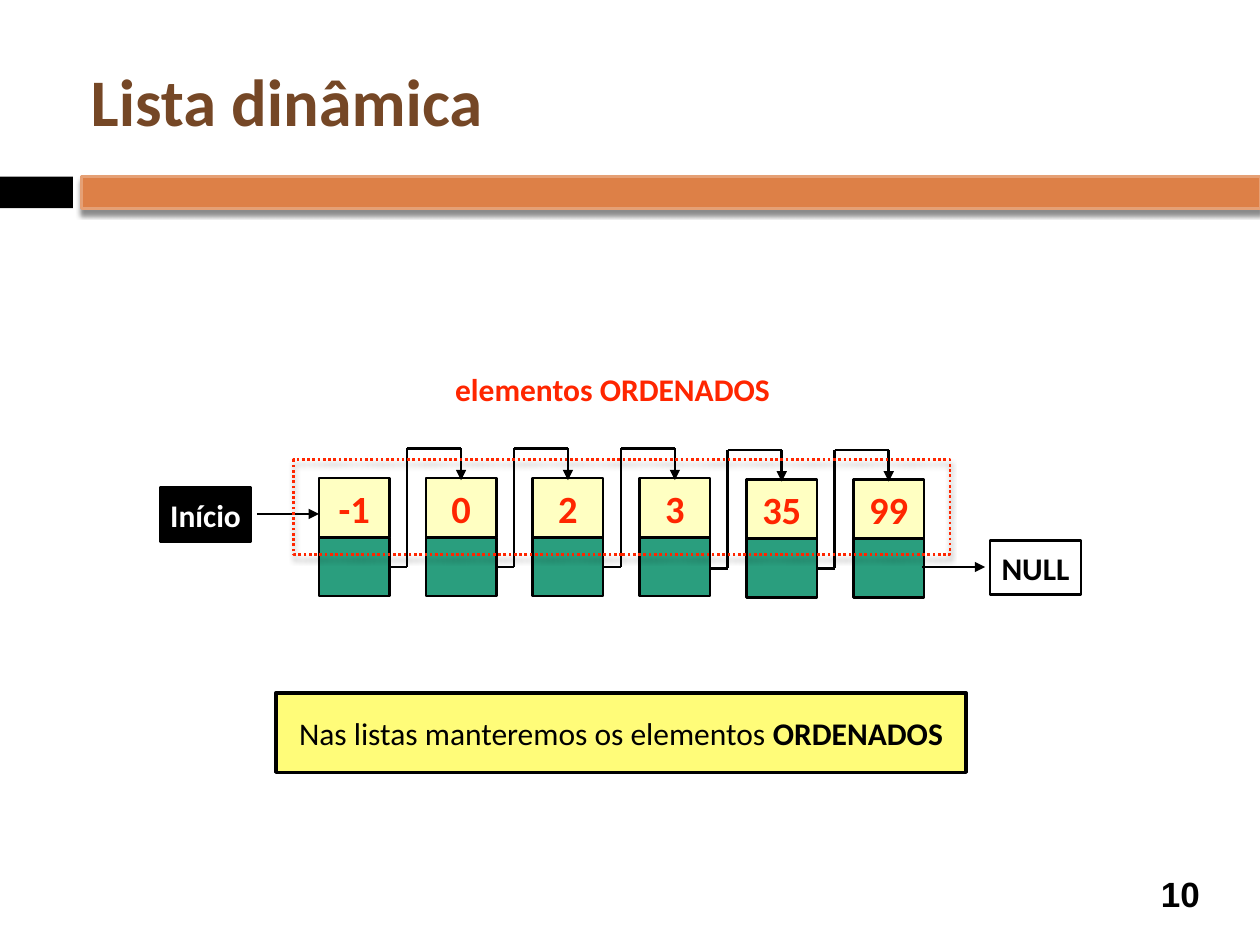
import itertools
import lxml.etree
import pptx
import pptx.dml.color
import pptx.enum.dml
import pptx.enum.shapes
import pptx.enum.text
import pptx.oxml
import pptx.oxml.ns
import pptx.util

Cm, Pt = pptx.util.Cm, pptx.util.Pt
ALIGN = pptx.enum.text.PP_ALIGN
MID = pptx.enum.text.MSO_ANCHOR.MIDDLE
RECT = pptx.enum.shapes.MSO_SHAPE.RECTANGLE
DOTS = pptx.enum.dml.MSO_LINE.ROUND_DOT

# Content
TITLE = "Lista dinâmica"
HEAD, END = "Início", "NULL"
ITEMS = ["-1", "0", "2", "3", "35", "99"]
LABEL = "elementos ORDENADOS"
NOTE = [("Nas listas manteremos os elementos ", False), ("ORDENADOS", True)]
PAGE = "10"

# Colours and type
THEME = {
    "black": "000000", "white": "FFFFFF", "brown": "754726",
    "bar": "DD8047", "edge": "E5A075", "red": "FF2600",
    "cream": "FFFFC2", "green": "2A9E7E", "yellow": "FFFC79",
    "title": {"name": "Calibri", "size": Pt(38), "bold": True},
    "item": {"name": "Calibri", "size": Pt(22), "bold": True},
    "label": {"name": "Calibri", "size": Pt(18), "bold": True},
    "page": {"name": "Arial", "size": Pt(20), "bold": True},
}
SHADE = (
    '<a:effectLst %s><a:outerShdw blurRad="38100" dist="30480" dir="5400000" '
    'algn="t" rotWithShape="0"><a:srgbClr val="000000"><a:alpha val="45000"/>'
    "</a:srgbClr></a:outerShdw></a:effectLst>" % pptx.oxml.ns.nsdecls("a")
)

# Grid of nodes, in centimetres
LEFT, TOP, STEP = 6.43, 9.64, 2.155
WIDE, HIGH = 1.42, 1.19
DROP = 0.03  # the last two nodes sit slightly lower

deck = pptx.Presentation()
deck.slide_width, deck.slide_height = Cm(25.4), Cm(19.05)
slide = deck.slides.add_slide(deck.slide_layouts[6])


def tint(name):
    return pptx.dml.color.RGBColor.from_string(THEME[name])


def write(shape, runs, style, color, align=ALIGN.CENTER, wrap=True):
    frame = shape.text_frame
    form = {"word_wrap": wrap, "vertical_anchor": MID}
    form.update({"margin_" + side: Cm(0.13)
                 for side in ("left", "right", "top", "bottom")})
    for key, value in form.items():
        setattr(frame, key, value)
    para = frame.paragraphs[0]
    para.alignment = align
    for text, bold in runs:
        run = para.add_run()
        run.text = text
        for key, value in {**THEME[style], "bold": bold}.items():
            setattr(run.font, key, value)
        run.font.color.rgb = tint(color)


def box(area, fill=None, line=None, width=1.5, dash=None, shade=False):
    shape = slide.shapes.add_shape(RECT, *map(Cm, area))
    shape.shadow.inherit = False
    if fill:
        shape.fill.solid()
        shape.fill.fore_color.rgb = tint(fill)
    else:
        shape.fill.background()
    if line:
        shape.line.color.rgb = tint(line)
        for key, value in {"width": Pt(width), "dash_style": dash}.items():
            setattr(shape.line, key, value)
    else:
        shape.line.fill.background()
    if shade:
        prop = shape.element.spPr
        prop.replace(prop.find(pptx.oxml.ns.qn("a:effectLst")),
                     pptx.oxml.parse_xml(SHADE))
    return shape


def label(area, text, style, color, **form):
    shape = slide.shapes.add_textbox(*map(Cm, area))
    write(shape, [(text, True)], style, color, **form)


def route(*dots):
    """Join the points with lines; the last one ends in an arrowhead."""
    for start, stop in itertools.pairwise(dots):
        wire = slide.shapes.add_connector(
            pptx.enum.shapes.MSO_CONNECTOR.STRAIGHT, *map(Cm, start + stop))
        wire.line.color.rgb = tint("black")
        wire.line.width = Pt(1.5)
        lxml.etree.SubElement(wire.element.spPr, pptx.oxml.ns.qn("a:effectLst"))
    lxml.etree.SubElement(wire.line._get_or_add_ln(),
                          pptx.oxml.ns.qn("a:tailEnd"), type="triangle")


# Title band and page number
box((0, 3.56, 1.47, 0.64), "black")
box((1.65, 3.56, 23.75, 0.64), "bar", "edge", shade=True)
label((1.7, 0.64, 22.66, 2.74), TITLE, "title", "brown", align=ALIGN.LEFT)
label((23.06, 17.5, 1.47, 1.04), PAGE, "page", "black")

# Nodes and the links between them
for i, item in enumerate(ITEMS):
    x = LEFT + i * STEP
    y = TOP + (DROP if i > 3 else 0)
    box((x, y + HIGH, WIDE, HIGH), "green", "black")
    cell = box((x, y, WIDE, HIGH), "cream", "black")
    write(cell, [(item, True)], "item", "red")
    if i:
        turn, mid = x - 0.38, x + WIDE / 2
        route((x - STEP + WIDE, y + 1.79), (turn, y + 1.79),
              (turn, y - 0.6), (mid, y - 0.6), (mid, y + 0.04))

# Start and end of the list
for text, fill, color, x, y in [(HEAD, "black", "white", 3.23, 9.83),
                                (END, "white", "black", 19.96, 10.9)]:
    write(box((x, y, 1.83, 1.09), fill, "black"),
          [(text, True)], "label", color)
route((5.18, 10.36), (LEFT, 10.36))
route((18.59, 11.43), (19.86, 11.43))

# Ordered items frame and its label
box((5.92, 9.27, 13.23, 1.91), line="red", dash=DOTS, shade=True)
label((8.97, 7.39, 6.76, 0.91), LABEL, "label", "red", wrap=False)

# Note
write(box((5.56, 13.97, 13.92, 1.6), "yellow", "black", 2),
      NOTE, "label", "black")

deck.save("out.pptx")
